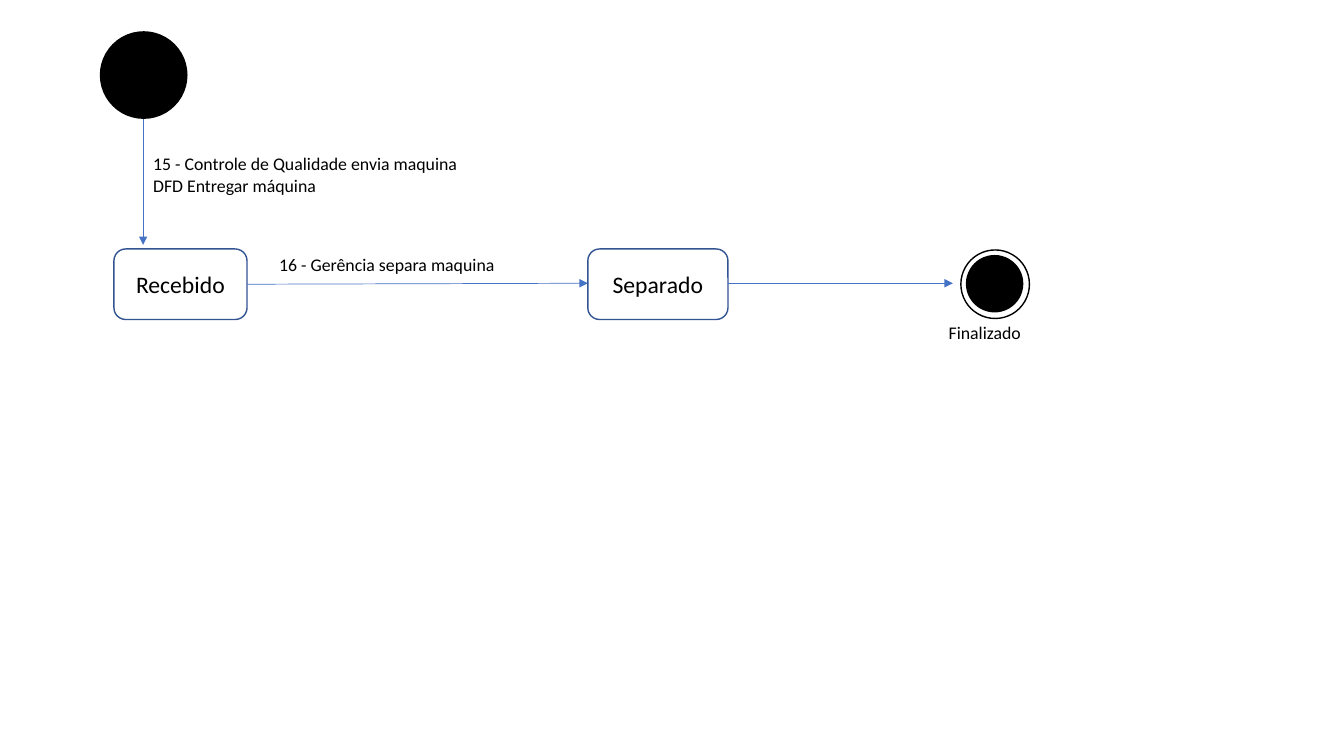
"""Draws the state diagram of a machine from reception to completion."""
from lxml.etree import SubElement
from pptx import Presentation
from pptx.dml.color import RGBColor
from pptx.enum.shapes import MSO_CONNECTOR, MSO_SHAPE
from pptx.enum.text import MSO_ANCHOR, MSO_AUTO_SIZE, PP_ALIGN
from pptx.oxml.ns import qn
from pptx.util import Inches, Pt


def color(hex_code):
    return RGBColor.from_string(hex_code)


class StateDiagram:
    FONT = "Calibri"
    INK = "000000"
    BORDER = "325491"
    ARROW = "4472C4"
    STATE_SIZE = 16.9
    LABEL_SIZE = 12.7

    def __init__(self, slide):
        self.slide = slide

    def add_words(self, paragraph, words, size):
        run = paragraph.add_run()
        run.text = words
        run.font.name = self.FONT
        run.font.size = Pt(size)
        run.font.color.rgb = color(self.INK)

    def outline(self, kind, left, top, width, height, fill=None, border=None):
        shape = self.slide.shapes.add_shape(
            kind, Inches(left), Inches(top), Inches(width), Inches(height))
        shape.shadow.inherit = False
        if fill:
            shape.fill.solid()
            shape.fill.fore_color.rgb = color(fill)
        else:
            shape.fill.background()
        if border:
            shape.line.color.rgb = color(border)
            shape.line.width = Pt(1)
        else:
            shape.line.fill.background()
        return shape

    def circle(self, left, top, diameter, fill=None, border=None):
        self.outline(MSO_SHAPE.OVAL, left, top, diameter, diameter, fill, border)

    def state(self, name, left, top, width, height=0.7):
        frame = self.outline(MSO_SHAPE.ROUNDED_RECTANGLE, left, top, width,
                             height, border=self.BORDER).text_frame
        frame.vertical_anchor = MSO_ANCHOR.MIDDLE
        frame.paragraphs[0].alignment = PP_ALIGN.CENTER
        self.add_words(frame.paragraphs[0], name, self.STATE_SIZE)

    def label(self, lines, left, top, width, height=0.31, wrap=True):
        frame = self.slide.shapes.add_textbox(
            Inches(left), Inches(top), Inches(width), Inches(height)).text_frame
        frame.word_wrap = wrap
        frame.auto_size = MSO_AUTO_SIZE.SHAPE_TO_FIT_TEXT
        for index, line in enumerate(lines):
            paragraph = frame.add_paragraph() if index else frame.paragraphs[0]
            self.add_words(paragraph, line, self.LABEL_SIZE)

    def transition(self, x1, y1, x2, y2):
        arrow = self.slide.shapes.add_connector(
            MSO_CONNECTOR.STRAIGHT, Inches(x1), Inches(y1), Inches(x2), Inches(y2))
        arrow.line.color.rgb = color(self.ARROW)
        arrow.line.width = Pt(0.5)
        properties = arrow.element.spPr
        SubElement(properties.find(qn("a:ln")), qn("a:tailEnd"), type="triangle")
        SubElement(properties, qn("a:effectLst"))


def main():
    deck = Presentation()
    deck.slide_width, deck.slide_height = Inches(13.33), Inches(7.5)
    diagram = StateDiagram(deck.slides.add_slide(deck.slide_layouts[6]))

    diagram.circle(0.99, 0.31, 0.87, fill=diagram.INK)
    diagram.transition(1.42, 1.18, 1.42, 2.43)
    diagram.state("Recebido", 1.13, 2.47, 1.32)
    diagram.label(["15 - Controle de Qualidade envia maquina",
                   "DFD Entregar máquina"], 1.42, 1.47, 3.24, 0.53, wrap=False)

    diagram.label(["16 - Gerência separa maquina"], 2.67, 2.47, 2.64)
    diagram.transition(2.45, 2.82, 5.83, 2.81)
    diagram.state("Separado", 5.83, 2.47, 1.39)

    diagram.transition(7.22, 2.81, 9.45, 2.81)
    diagram.circle(9.58, 2.53, 0.57, fill=diagram.INK)
    diagram.circle(9.53, 2.48, 0.68, border=diagram.INK)
    diagram.label(["Finalizado"], 9.31, 3.14, 1.58)

    deck.save("out.pptx")


if __name__ == "__main__":
    main()
